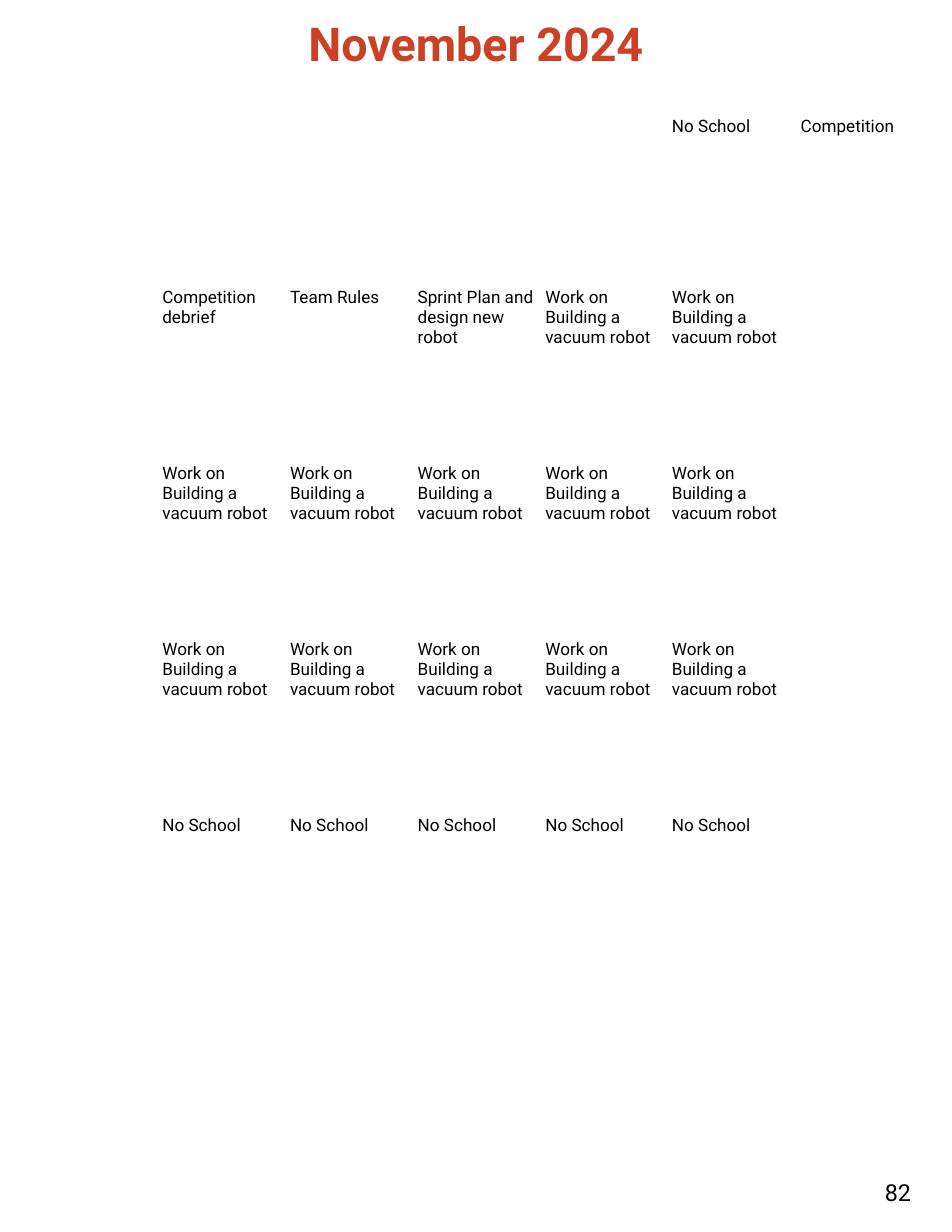
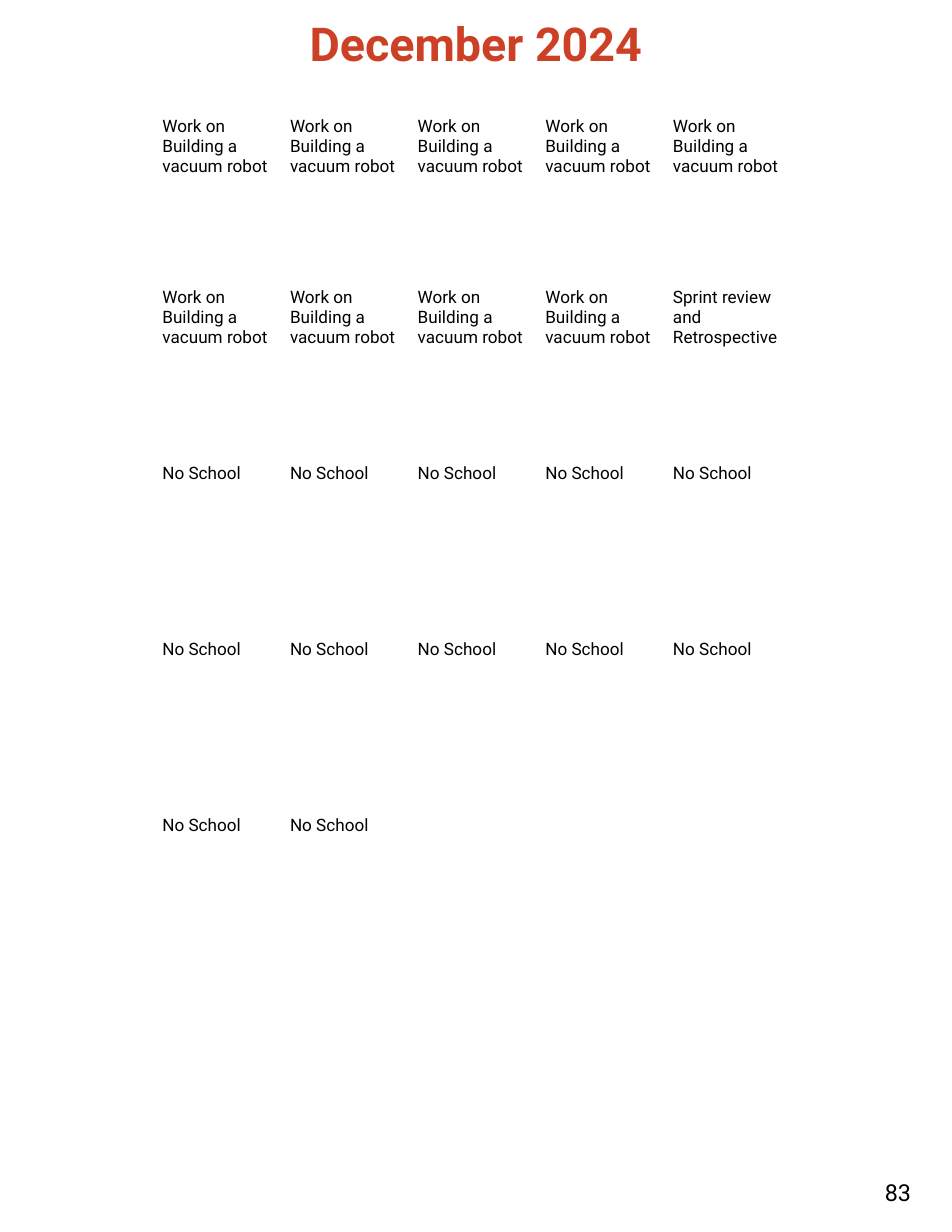
from pptx import Presentation
from pptx.dml.color import RGBColor
from pptx.enum.text import PP_ALIGN
from pptx.util import Inches, Pt

RED = RGBColor(0xCC, 0x41, 0x25)
BLACK = RGBColor(0x00, 0x00, 0x00)
FONT = "Roboto"

DAYS = 7
LEFT, WIDTH = 0.26, 7.98
ROWS = [1.53] + [1.57] * 5

# Recurring calendar entries
OFF = "No School"
BUILD = "Work on Building a vacuum robot"


class Planner:
    """Holds the deck style and the current slide."""

    def __init__(self):
        self.deck = Presentation()
        self.deck.slide_width = Inches(8.5)
        self.deck.slide_height = Inches(11)
        self.slide = None

    def style(self, para, size, color=BLACK, bold=False):
        font = para.font
        font.name, font.size, font.bold = FONT, Pt(size), bold
        font.color.rgb = color

    def text(self, words, box, size, color=BLACK, bold=False,
             align=PP_ALIGN.LEFT, top=0):
        frame = self.slide.shapes.add_textbox(*map(Inches, box)).text_frame
        frame.word_wrap = True
        frame.margin_left = frame.margin_right = frame.margin_bottom = 0
        frame.margin_top = Inches(top)
        para = frame.paragraphs[0]
        para.text = words
        para.alignment = align
        self.style(para, size, color, bold)

    def cell(self, cell, words):
        cell.fill.background()
        if not words:
            return
        cell.margin_left = cell.margin_right = cell.margin_bottom = Inches(0.05)
        cell.margin_top = Inches(0.2)
        cell.text = words
        self.style(cell.text_frame.paragraphs[0], 11)

    def grid(self, weeks, widths):
        table = self.slide.shapes.add_table(
            len(ROWS), DAYS, Inches(LEFT), Inches(0.84),
            Inches(WIDTH), Inches(sum(ROWS))).table
        table.first_row = table.horz_banding = False
        for column, width in zip(table.columns, widths):
            column.width = Inches(width)
        for row, height in zip(table.rows, ROWS):
            row.height = Inches(height)
        for r in range(len(ROWS)):
            for c in range(DAYS):
                self.cell(table.cell(r, c), weeks.get(r, {}).get(c))

    def month(self, name, page, weeks, widths):
        self.slide = self.deck.slides.add_slide(self.deck.slide_layouts[6])
        self.text(page, (7.9, 10.52, 0.53, 0.25), 15)
        self.text(name, (LEFT, 0.1, WIDTH, 0.44), 30, RED, True,
                  PP_ALIGN.CENTER, 0.03)
        self.grid(weeks, widths)


def week(*plans):
    """Place the plans on the days from Monday on."""
    return dict(enumerate(plans, 1))


def main():
    planner = Planner()
    build, off = week(*[BUILD] * 5), week(*[OFF] * 5)

    # November
    planner.month("November 2024", "82", {
        0: {5: OFF, 6: "Competition"},
        1: week("Competition debrief", "Team Rules",
                "Sprint Plan and design new robot", BUILD, BUILD),
        2: build,
        3: build,
        4: off,
    }, [1.14] * 4 + [1.13, 1.15, 1.14])

    # December
    planner.month("December 2024", "83", {
        0: build,
        1: week(*[BUILD] * 4, "Sprint review and Retrospective"),
        2: off,
        3: off,
        4: week(OFF, OFF),
    }, [1.14] * DAYS)

    planner.deck.save("out.pptx")


if __name__ == "__main__":
    main()
